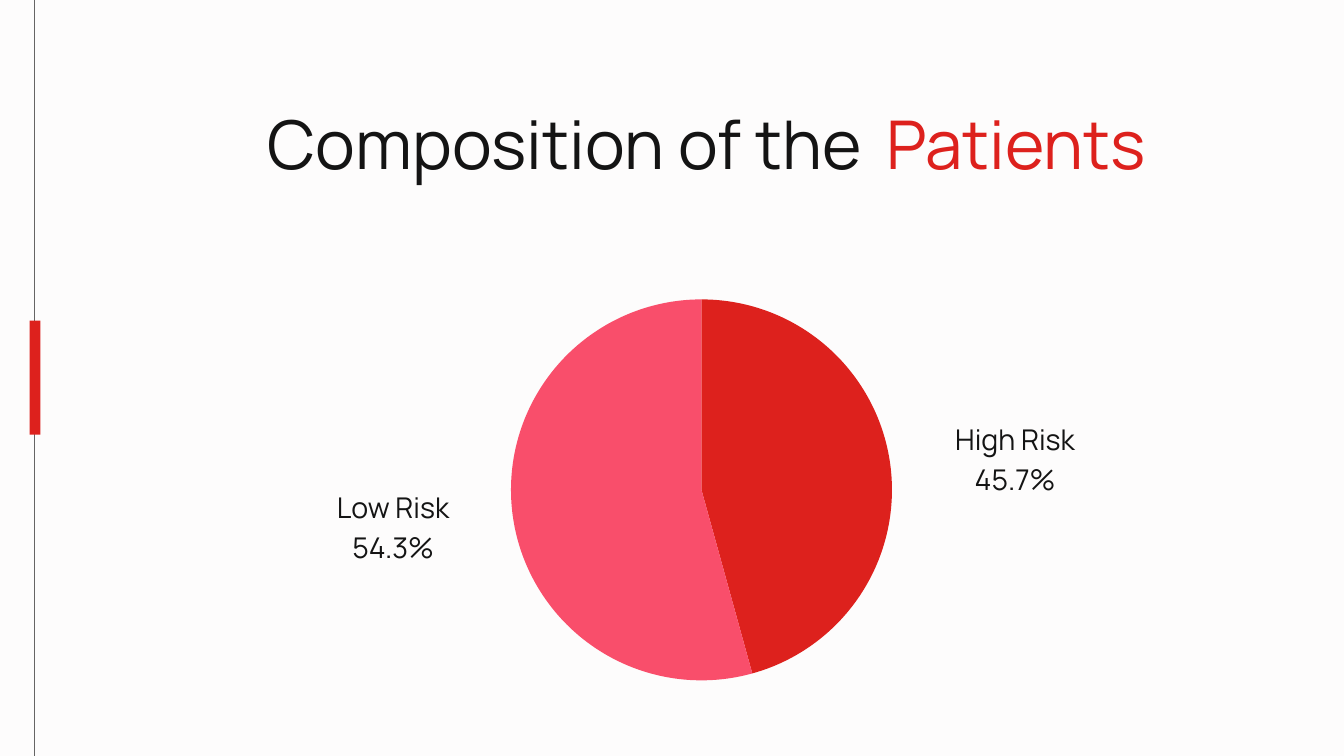
"""Build the slide on the composition of the patients by risk group."""
from lxml.etree import SubElement
from pptx import Presentation
from pptx.chart.data import CategoryChartData
from pptx.dml.color import RGBColor
from pptx.enum.chart import XL_CHART_TYPE
from pptx.enum.shapes import MSO_SHAPE
from pptx.enum.text import PP_ALIGN
from pptx.oxml.ns import qn
from pptx.util import Inches, Pt

COLORS = {"paper": "FDFCFC", "ink": "141414", "red": "DD211D", "pink": "F94E6B"}
FONT = "Manrope"

deck = Presentation()
deck.slide_width, deck.slide_height = Inches(20), Inches(11.25)
column, row = deck.slide_width / 100, deck.slide_height / 100
slide = deck.slides.add_slide(deck.slide_layouts[6])
slide.background.fill.solid()
slide.background.fill.fore_color.rgb = RGBColor.from_string(COLORS["paper"])


def cells(left, top, width, height):
    return int(left * column), int(top * row), int(width * column), int(height * row)


def write(paragraphs, area, size, leading):
    frame = slide.shapes.add_textbox(*cells(*area)).text_frame
    frame.word_wrap = True
    frame.margin_left = frame.margin_right = frame.margin_top = frame.margin_bottom = 0
    for index, pieces in enumerate(paragraphs):
        line = frame.paragraphs[0] if index == 0 else frame.add_paragraph()
        line.alignment = PP_ALIGN.CENTER
        line.line_spacing = Pt(leading)
        for words, color, tracking in pieces:
            piece = line.add_run()
            piece.text = words
            piece.font.name = FONT
            piece.font.size = Pt(size)
            piece.font.color.rgb = RGBColor.from_string(COLORS[color])
            if tracking:
                piece._r.get_or_add_rPr().set("spc", str(tracking * 100))


for area, color in [((2.55, 0, 0.05, 100), "ink"), ((2.2, 42.4, 0.8, 15.1), "red")]:
    bar = slide.shapes.add_shape(MSO_SHAPE.RECTANGLE, *cells(*area))
    bar.shadow.inherit = False
    bar.fill.solid()
    bar.fill.fore_color.rgb = RGBColor.from_string(COLORS[color])
    bar.line.fill.background()

title = [("Composition of the", "ink", 0), (" ", "ink", 12), ("Patients", "red", 0)]
write([title], (16.85, 13.5, 71.45, 21.25), size=72, leading=86.4)

risks = [
    ("High Risk", 0.457, "red", (70.65, 55, 9.75, 10.13)),
    ("Low Risk", 0.543, "pink", (24.8, 64.1, 8.9, 10.13)),
]
shares = CategoryChartData(number_format="0.0%")
shares.categories = [risk for risk, share, color, area in risks]
shares.add_series("Patients", [share for risk, share, color, area in risks])
pie = slide.shapes.add_chart(
    XL_CHART_TYPE.PIE, *cells(38.02, 39.6, 28.35, 50.4), shares
).chart
pie.has_title = False
pie.has_legend = False
pie.font.name = FONT
pie.font.size = Pt(30.6)
pie.font.color.rgb = RGBColor.from_string(COLORS["ink"])
pie.plots[0].vary_by_categories = True

plot_area = pie._chartSpace.find(".//" + qn("c:plotArea"))
for automatic in plot_area.findall(qn("c:layout")):
    plot_area.remove(automatic)
layout = SubElement(plot_area, qn("c:layout"))
plot_area.insert(0, layout)
manual = SubElement(layout, qn("c:manualLayout"))
for tag, value in [("layoutTarget", "inner"), ("xMode", "edge"), ("yMode", "edge"),
                   ("x", "0"), ("y", "0"), ("w", "1"), ("h", "1")]:
    SubElement(manual, qn("c:" + tag)).set("val", value)

for index, (risk, share, color, area) in enumerate(risks):
    wedge = pie.plots[0].series[0].points[index].format
    wedge.fill.solid()
    wedge.fill.fore_color.rgb = RGBColor.from_string(COLORS[color])
    wedge.line.fill.background()
    label = [[(risk, "ink", 0)], [(f"{share:.1%}", "ink", 0)]]
    write(label, area, size=30.6, leading=42.9)

deck.save("out.pptx")
